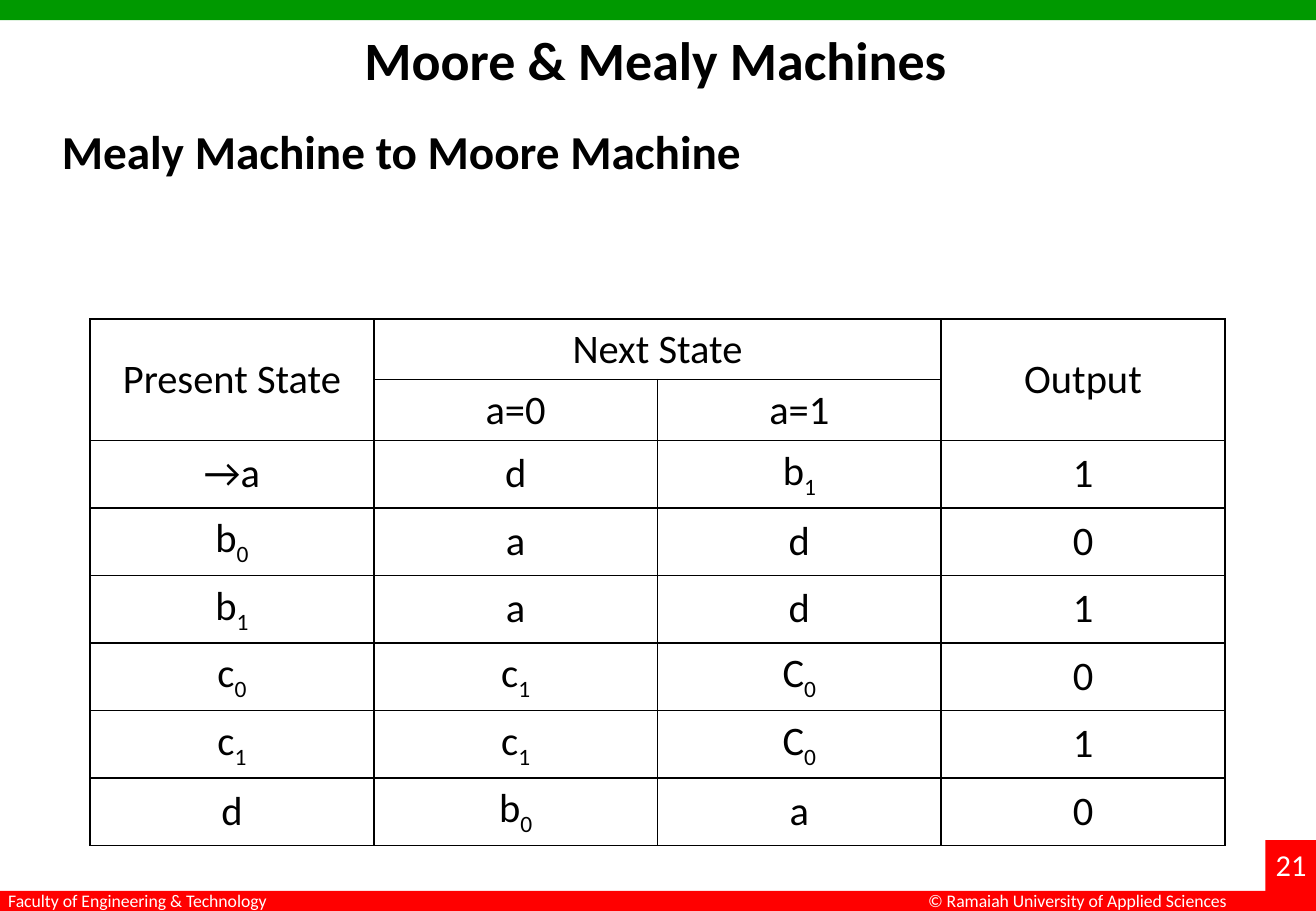
from dataclasses import dataclass

import pptx
import pptx.dml.color
import pptx.enum.shapes
import pptx.enum.text
import pptx.oxml
import pptx.oxml.ns
import pptx.slide
import pptx.table
import pptx.text.text
import pptx.util

SLIDE_WIDTH = pptx.util.Inches(10.83)
SLIDE_HEIGHT = pptx.util.Inches(7.5)
FONT = "Calibri"
COLORS = {"green": "009900", "red": "FF0000", "white": "FFFFFF", "black": "000000"}
BORDER_WIDTH = pptx.util.Pt(1)


@dataclass(frozen=True)
class Area:
    """Position and size in percent of the slide's width and height."""
    left: float
    top: float
    width: float
    height: float

    def lengths(self) -> tuple[int, int, int, int]:
        return (
            round(SLIDE_WIDTH * self.left / 100),
            round(SLIDE_HEIGHT * self.top / 100),
            round(SLIDE_WIDTH * self.width / 100),
            round(SLIDE_HEIGHT * self.height / 100),
        )


@dataclass(frozen=True)
class Bar:
    area: Area
    color: str


@dataclass(frozen=True)
class Label:
    area: Area
    text: str
    size: float
    color: str
    bold: bool = False


BARS = [
    Bar(Area(0, 0, 100, 2.22), "green"),
    Bar(Area(0, 97.78, 100, 2.22), "red"),
    Bar(Area(96.15, 92.22, 3.85, 7.78), "red"),
]
LABELS = [
    Label(Area(69.62, 97.07, 24.93, 3.73),
          "© Ramaiah University of Applied Sciences", 10.5, "white"),
    Label(Area(96.03, 92.27, 4.62, 5.33), "21", 18, "white"),
    Label(Area(-0.28, 97.07, 21.98, 3.73),
          "Faculty of Engineering & Technology", 10.5, "white"),
    Label(Area(26.78, 2.27, 46.54, 8.53), "Moore & Mealy Machines", 32, "black", True),
    Label(Area(3.79, 12.8, 54.11, 7.6), "Mealy Machine to Moore Machine", 28, "black", True),
]

# An underscore separates a state from its subscript
TRANSITIONS = [
    ["Present State", "Next State", "", "Output"],
    ["", "a=0", "a=1", ""],
    ["→a", "d", "b_1", "1"],
    ["b_0", "a", "d", "0"],
    ["b_1", "a", "d", "1"],
    ["c_0", "c_1", "C_0", "0"],
    ["c_1", "c_1", "C_0", "1"],
    ["d", "b_0", "a", "0"],
]
MERGES = [((0, 0), (1, 0)), ((0, 1), (0, 2)), ((0, 3), (1, 3))]
HEADER_ROWS = 2
HEADER_HEIGHT = 6.67
STATE_HEIGHT = 7.4
TABLE_AREA = Area(6.85, 35, 86.24, HEADER_ROWS * HEADER_HEIGHT
                  + (len(TRANSITIONS) - HEADER_ROWS) * STATE_HEIGHT)


def rgb(color: str) -> pptx.dml.color.RGBColor:
    return pptx.dml.color.RGBColor.from_string(COLORS[color])


def format_font(font: pptx.text.text.Font, size: float, color: str, bold: bool = False) -> None:
    values = {"name": FONT, "size": pptx.util.Pt(size), "bold": bold}
    for name, value in values.items():
        setattr(font, name, value)
    font.color.rgb = rgb(color)


def draw_bar(page: pptx.slide.Slide, bar: Bar) -> None:
    shape = page.shapes.add_shape(
        pptx.enum.shapes.MSO_SHAPE.RECTANGLE, *bar.area.lengths())
    shape.shadow.inherit = False
    shape.fill.solid()
    shape.fill.fore_color.rgb = rgb(bar.color)
    shape.line.fill.background()


def draw_label(page: pptx.slide.Slide, label: Label) -> None:
    box = page.shapes.add_textbox(*label.area.lengths())
    values = {"word_wrap": False,
              "auto_size": pptx.enum.text.MSO_AUTO_SIZE.SHAPE_TO_FIT_TEXT}
    for name, value in values.items():
        setattr(box.text_frame, name, value)
    span = box.text_frame.paragraphs[0].add_run()
    span.text = label.text
    format_font(span.font, label.size, label.color, label.bold)


def add_borders(cell: pptx.table._Cell) -> None:
    properties = cell._tc.get_or_add_tcPr()
    for position, side in enumerate(("lnL", "lnR", "lnT", "lnB")):
        properties.insert(position, pptx.oxml.parse_xml(
            f'<a:{side} {pptx.oxml.ns.nsdecls("a")} w="{BORDER_WIDTH}"><a:solidFill>'
            f'<a:srgbClr val="{COLORS["black"]}"/></a:solidFill></a:{side}>'))


def fill_cell(cell: pptx.table._Cell, text: str) -> None:
    cell.fill.background()
    add_borders(cell)
    cell.vertical_anchor = pptx.enum.text.MSO_ANCHOR.MIDDLE
    para = cell.text_frame.paragraphs[0]
    para.alignment = pptx.enum.text.PP_ALIGN.CENTER
    format_font(para.font, 24, "black")
    for index, part in enumerate(text.split("_") if text else []):
        span = para.add_run()
        span.text = part
        format_font(span.font, 24, "black")
        if index:
            span._r.get_or_add_rPr().set("baseline", "-25000")


def draw_table(page: pptx.slide.Slide) -> None:
    table = page.shapes.add_table(
        len(TRANSITIONS), len(TRANSITIONS[0]), *TABLE_AREA.lengths()).table
    for name in ("first_row", "horz_banding"):
        setattr(table, name, False)
    for index, row in enumerate(table.rows):
        share = HEADER_HEIGHT if index < HEADER_ROWS else STATE_HEIGHT
        row.height = round(SLIDE_HEIGHT * share / 100)
        for cell, text in zip(row.cells, TRANSITIONS[index]):
            fill_cell(cell, text)
    for first, last in MERGES:
        table.cell(*first).merge(table.cell(*last))


def main() -> None:
    deck = pptx.Presentation()
    deck.slide_width, deck.slide_height = SLIDE_WIDTH, SLIDE_HEIGHT
    page = deck.slides.add_slide(deck.slide_layouts[6])

    # Frame of the page
    for bar in BARS:
        draw_bar(page, bar)

    # Footer, page number and headings
    for label in LABELS:
        draw_label(page, label)

    # State transition table
    draw_table(page)
    deck.save("out.pptx")


if __name__ == "__main__":
    main()
